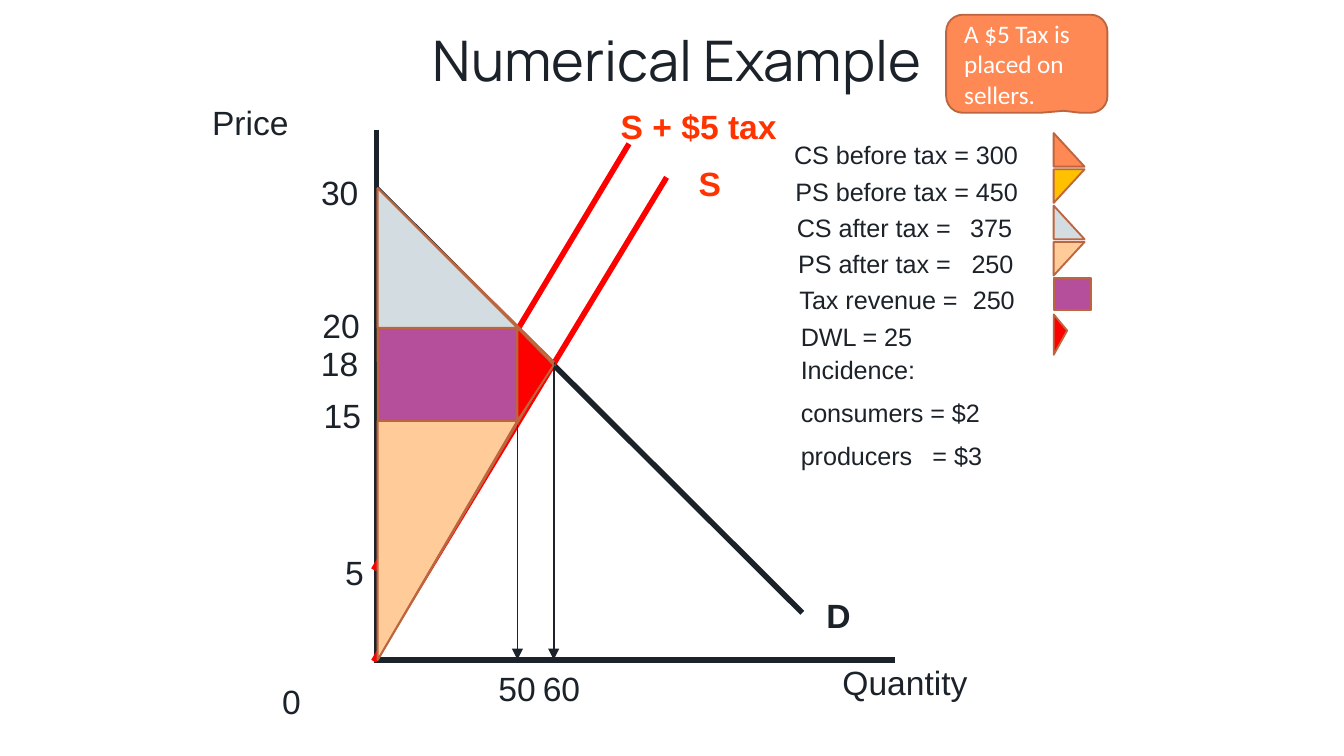
"""Build a supply and demand slide showing the effect of a $5 tax."""
from lxml.etree import SubElement
from pptx import Presentation
from pptx.dml.color import RGBColor
from pptx.enum.shapes import MSO_CONNECTOR, MSO_SHAPE
from pptx.enum.text import MSO_ANCHOR, MSO_AUTO_SIZE, PP_ALIGN
from pptx.oxml.ns import qn
from pptx.util import Inches, Pt

INK = RGBColor(0x1C, 0x22, 0x29)
WHITE = RGBColor(0xFF, 0xFF, 0xFF)
RED = RGBColor(0xFF, 0x00, 0x00)
SUPPLY_LABEL = RGBColor(0xFF, 0x33, 0x00)
OUTLINE = RGBColor(0xBC, 0x65, 0x3E)
ORANGE = RGBColor(0xFE, 0x89, 0x54)
GOLD = RGBColor(0xFF, 0xC0, 0x00)
GREY = RGBColor(0xD3, 0xDC, 0xE0)
PEACH = RGBColor(0xFF, 0xCC, 0x99)
PURPLE = RGBColor(0xB5, 0x4F, 0x9B)

SLIDE_WIDTH = Inches(10)
SLIDE_HEIGHT = SLIDE_WIDTH * 9 // 16

PRICE_Y = {30: 1.4, 20: 2.44, 18: 2.69, 15: 3.13, 0: 4.91}
QUANTITY_X = {0: 2.81, 50: 3.85, 60: 4.12}
AXIS_X, AXIS_Y = 2.8, 4.91
LABEL_HEIGHT = 0.4

THICK_LINES = [
    ((AXIS_X, 0.97), (AXIS_X, 4.89), INK),
    ((2.78, AXIS_Y), (6.66, AXIS_Y), INK),
    ((AXIS_X, PRICE_Y[30]), (5.97, 4.56), INK),
    ((2.78, 4.92), (4.96, 1.32), RED),
    ((2.78, 4.24), (4.68, 1.07), RED),
]
PRICE_GUIDES = [(20, 50, 1), (18, 60, 0.75), (15, 50, 1)]
QUANTITY_GUIDES = [(50, 20, 0.75), (60, 18, 1)]

LABELS = [
    ("D", 6.05, 4.38, 0.47, INK, True),
    ("S", 5.1, 1.16, 0.88, SUPPLY_LABEL, True),
    ("S + $5 tax", 4.52, 0.74, 1.41, SUPPLY_LABEL, True),
    ("Price", 1.48, 0.71, 1.7, INK, False),
    ("Quantity", 6.17, 4.88, 2.58, INK, False),
    ("30", 2.29, 1.23, 0.49, INK, False),
    ("20", 2.3, 2.22, 0.49, INK, False),
    ("18", 2.29, 2.5, 0.5, INK, False),
    ("15", 2.31, 2.89, 0.5, INK, False),
    ("5", 2.47, 4.06, 0.43, INK, False),
    ("0", 2.0, 5.02, 0.79, INK, False),
    ("50", 3.61, 4.92, 0.49, INK, False),
    ("60", 3.94, 4.92, 0.49, INK, False),
]

AREAS = [
    ("CS before tax = 300", "upper", ORANGE, (30, 18, 0, 60)),
    ("PS before tax = 450", "lower", GOLD, (18, 0, 0, 60)),
    ("CS after tax =\t375", "upper", GREY, (30, 20, 0, 50)),
    ("PS after tax =\t250", "lower", PEACH, (15, 0, 0, 50)),
    ("Tax revenue =\t250", "band", PURPLE, (20, 15, 0, 50)),
    ("DWL = 25", "wedge", RED, (20, 15, 50, 60)),
]
SWATCH_SIZES = {"upper": (0.23, 0.25), "lower": (0.23, 0.25),
                "band": (0.28, 0.24), "wedge": (0.1, 0.3)}
INCIDENCE = ["Incidence:", "consumers = $2", "producers\t= $3"]
LEGEND_X, LEGEND_Y, LEGEND_WIDTH = 5.81, 0.99, 2.58
LEGEND_STEP, LEGEND_PITCH = 0.01, 0.27
SWATCH_X = 7.84
VALUE_TAB, INCIDENCE_TAB = 1.29, 0.98


def write(paragraph, text, size, color, font="Arial", bold=False):
    run = paragraph.add_run()
    run.text = text
    run.font.name = font
    run.font.size = Pt(size)
    run.font.bold = bold
    run.font.color.rgb = color


def add_text(slide, lines, box, size, color=INK, bold=False, tab=None):
    frame = slide.shapes.add_textbox(*map(Inches, box)).text_frame
    frame.word_wrap = True
    for index, line in enumerate(lines):
        paragraph = frame.add_paragraph() if index else frame.paragraphs[0]
        if index:
            paragraph.space_before = Pt(6.75)
        if "\t" in line:
            properties = paragraph._p.get_or_add_pPr()
            stops = SubElement(properties, qn("a:tabLst"))
            SubElement(stops, qn("a:tab"), pos=str(Inches(tab)), algn="l")
        write(paragraph, line, size, color, bold=bold)


def add_line(slide, start, end, color, width, arrow=False):
    points = map(Inches, (*start, *end))
    connector = slide.shapes.add_connector(MSO_CONNECTOR.STRAIGHT, *points)
    connector.line.color.rgb = color
    connector.line.width = Pt(width)
    properties = connector.element.spPr
    if arrow:
        SubElement(properties.find(qn("a:ln")), qn("a:tailEnd"), type="triangle")
    SubElement(properties, qn("a:effectLst"))


def add_filled(slide, preset, box, color):
    shape = slide.shapes.add_shape(preset, *map(Inches, box))
    shape.shadow.inherit = False
    shape.fill.solid()
    shape.fill.fore_color.rgb = color
    shape.line.color.rgb = OUTLINE
    shape.line.width = Pt(1)
    return shape


def add_area(slide, kind, left, top, width, height, color):
    if kind == "wedge":
        box = (left + (width - height) / 2, top + (height - width) / 2, height, width)
        shape = add_filled(slide, MSO_SHAPE.ISOSCELES_TRIANGLE, box, color)
        shape.rotation = 90
        shape.adjustments[0] = 0.4
        return
    preset = MSO_SHAPE.RECTANGLE if kind == "band" else MSO_SHAPE.RIGHT_TRIANGLE
    shape = add_filled(slide, preset, (left, top, width, height), color)
    if kind == "lower":
        shape.rotation = 180
        shape.element.spPr.find(qn("a:xfrm")).set("flipH", "1")


def add_title(slide):
    title = slide.shapes.title
    title.left, title.top, title.width, title.height = map(Inches, (1.58, 0, 6.92, 0.94))
    frame = title.text_frame
    frame.auto_size = MSO_AUTO_SIZE.NONE
    frame.vertical_anchor = MSO_ANCHOR.MIDDLE
    paragraph = frame.paragraphs[0]
    paragraph.alignment = PP_ALIGN.CENTER
    paragraph.line_spacing = 0.9
    write(paragraph, "Numerical Example", 30, INK, "Manrope")


def add_callout(slide):
    box = (7.04, 0.11, 1.2, 0.73)
    callout = add_filled(slide, MSO_SHAPE.ROUNDED_RECTANGULAR_CALLOUT, box, ORANGE)
    for index, value in enumerate((0.23, 0.48, 0.17)):
        callout.adjustments[index] = value
    frame = callout.text_frame
    frame.word_wrap = True
    frame.vertical_anchor = MSO_ANCHOR.MIDDLE
    frame.paragraphs[0].alignment = PP_ALIGN.LEFT
    write(frame.paragraphs[0], "A $5 Tax is placed on sellers.", 13.5, WHITE, "Calibri")


def add_diagram(slide):
    for start, end, color in THICK_LINES:
        add_line(slide, start, end, color, 3)
    for price, quantity, width in PRICE_GUIDES:
        y = PRICE_Y[price]
        add_line(slide, (QUANTITY_X[quantity], y), (AXIS_X, y), INK, width, True)
    for quantity, price, width in QUANTITY_GUIDES:
        x = QUANTITY_X[quantity]
        add_line(slide, (x, PRICE_Y[price]), (x, AXIS_Y), INK, width, True)
    for text, left, top, width, color, bold in LABELS:
        add_text(slide, [text], (left, top, width, LABEL_HEIGHT), 18, color, bold)


def add_areas_and_legend(slide):
    for row, (text, kind, color, (high, low, start, end)) in enumerate(AREAS):
        left, top = QUANTITY_X[start], PRICE_Y[high]
        width, height = QUANTITY_X[end] - left, PRICE_Y[low] - top
        add_area(slide, kind, left, top, width, height, color)
        row_left = LEGEND_X + row * LEGEND_STEP
        row_top = LEGEND_Y + row * LEGEND_PITCH
        add_area(slide, kind, SWATCH_X, row_top, *SWATCH_SIZES[kind], color)
        add_text(slide, [text], (row_left, row_top, LEGEND_WIDTH, 0.33), 13.5, tab=VALUE_TAB)
    box = (LEGEND_X + 0.05, 2.59, LEGEND_WIDTH, 1.01)
    add_text(slide, INCIDENCE, box, 13.5, tab=INCIDENCE_TAB)


def main():
    presentation = Presentation()
    presentation.slide_width, presentation.slide_height = SLIDE_WIDTH, SLIDE_HEIGHT
    slide = presentation.slides.add_slide(presentation.slide_layouts[5])
    add_title(slide)
    add_diagram(slide)
    add_areas_and_legend(slide)
    add_callout(slide)
    presentation.save("out.pptx")


if __name__ == "__main__":
    main()
